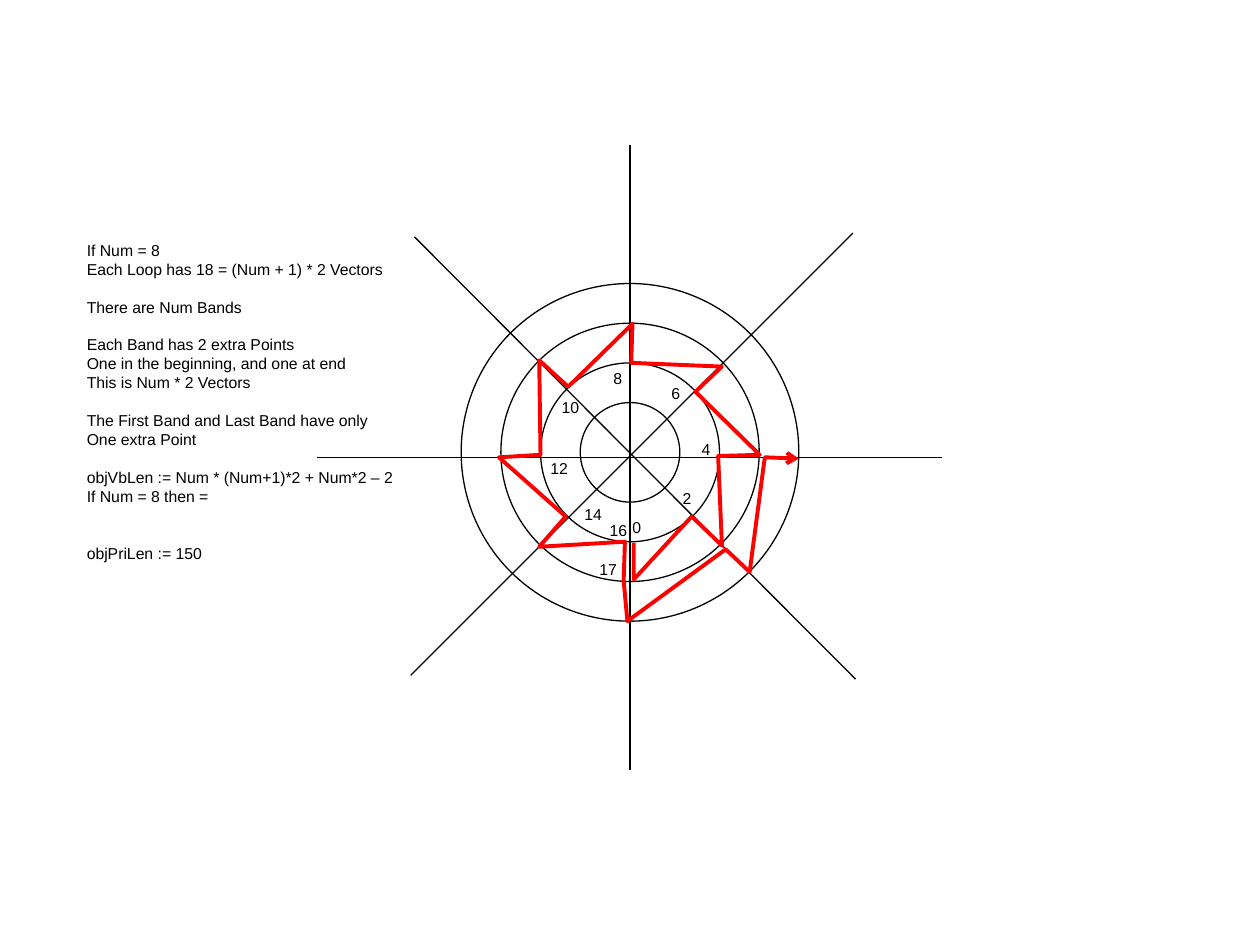
from lxml import etree
from pptx import Presentation
from pptx.dml.color import RGBColor
from pptx.enum.shapes import MSO_CONNECTOR, MSO_SHAPE
from pptx.enum.text import MSO_AUTO_SIZE
from pptx.oxml.ns import qn
from pptx.util import Inches, Pt

STRAIGHT = MSO_CONNECTOR.STRAIGHT
OVAL = MSO_SHAPE.OVAL
GROW = MSO_AUTO_SIZE.SHAPE_TO_FIT_TEXT

COLORS = {"ink": "000000", "path": "FF0000"}
FONT = {"name": "Arial", "size": Pt(9)}
CELL = 0.1
COLS, ROWS = 100, 75
LINE_HEIGHT = 10.8

AXIS_CENTER, AXIS_REACH = (50, 36.3), 24.8
RING_CENTER = (50, 35.9)
FIRST_RADIUS, RING_STEP, RING_COUNT = 3.95, 3.15, 4

AXES = [
    ((AXIS_CENTER[0], AXIS_CENTER[1] - AXIS_REACH),
     (AXIS_CENTER[0], AXIS_CENTER[1] + AXIS_REACH)),
    ((AXIS_CENTER[0] - AXIS_REACH, AXIS_CENTER[1]),
     (AXIS_CENTER[0] + AXIS_REACH, AXIS_CENTER[1])),
]
DIAGONALS = [((67.7, 18.5), (32.6, 53.6)), ((32.9, 18.8), (67.9, 53.9))]

LOOP = [
    (50.3, 43.1), (50.3, 46), (54.9, 41), (57.3, 43.3), (57, 36.2),
    (60.3, 36.1), (55.2, 31.1), (57.3, 29.1), (50.1, 28.8), (50.2, 25.7),
    (45.1, 30.7), (42.8, 28.6), (42.9, 36.1), (39.6, 36.3), (44.9, 41),
    (42.8, 43.4), (49.6, 43), (49.5, 46.1), (49.8, 49.3), (57.6, 43.6),
    (59.5, 45.4), (60.7, 36.3), (63.4, 36.4),
]

LABELS = {
    "0": (49.2, 40.6), "4": (54.7, 34.4), "2": (53.2, 38.3),
    "6": (52.3, 30), "8": (47.7, 28.8), "10": (43.6, 31.1),
    "12": (42.7, 35.9), "14": (45.4, 39.6), "16": (47.4, 40.8),
    "17": (46.6, 43.9),
}
LABEL_WIDTHS = {1: 2.7, 2: 3.4}
LABEL_HEIGHT = 2.5

NOTES = [
    (0, "If Num = 8"),
    (0, "Each Loop has 18 = (Num + 1) * 2 Vectors"),
    (1, "There are Num Bands"),
    (1, "Each Band has 2 extra Points"),
    (0, "One in the beginning, and one at end"),
    (0, "This is Num * 2 Vectors"),
    (1, "The First Band and Last Band have only"),
    (0, "One extra Point"),
    (1, "objVbLen := Num * (Num+1)*2 + Num*2 – 2"),
    (0, "If Num = 8 then ="),
    (2, "objPriLen := 150"),
]


def cells(*counts):
    return [Inches(n * CELL) for n in counts]


def rgb(key):
    return RGBColor.from_string(COLORS[key])


def set_line(sp, color, width):
    sp.line.color.rgb = rgb(color)
    sp.line.width = Pt(width)


def add_line_pair(s, lines):
    group = s.shapes.add_group_shape()
    for start, end in lines:
        sp = group.shapes.add_connector(STRAIGHT, *cells(*start, *end))
        set_line(sp, "ink", 0.75)
        etree.SubElement(sp._element.spPr, qn("a:effectLst"))


def add_ring(s, radius):
    x, y = RING_CENTER
    sp = s.shapes.add_shape(
        OVAL, *cells(x - radius, y - radius, 2 * radius, 2 * radius))
    sp.fill.background()
    sp.shadow.inherit = False
    set_line(sp, "ink", 0.75)


def add_loop(s, points):
    start, *rest = [cells(*point) for point in points]
    builder = s.shapes.build_freeform(*start)
    builder.add_line_segments(rest, close=False)
    sp = builder.convert_to_shape()
    sp.fill.background()
    sp.shadow.inherit = False
    set_line(sp, "path", 2.25)
    etree.SubElement(sp.line._get_or_add_ln(), qn("a:tailEnd"), type="arrow")


def add_text(s, box, lines, wrap):
    tf = s.shapes.add_textbox(*cells(*box)).text_frame
    tf.word_wrap = wrap
    tf.auto_size = GROW
    for i, (gap, text) in enumerate(lines):
        p = tf.add_paragraph() if i else tf.paragraphs[0]
        if gap:
            p.space_before = Pt(gap * LINE_HEIGHT)
        r = p.add_run()
        r.text = text
        for name, value in FONT.items():
            setattr(r.font, name, value)
        r.font.color.rgb = rgb("ink")


def main():
    prs = Presentation()
    prs.slide_width, prs.slide_height = cells(COLS, ROWS)
    s = prs.slides.add_slide(prs.slide_layouts[6])
    for lines in (AXES, DIAGONALS):
        add_line_pair(s, lines)
    for i in range(RING_COUNT):
        add_ring(s, FIRST_RADIUS + i * RING_STEP)
    add_loop(s, LOOP)
    for text, (x, y) in LABELS.items():
        box = (x, y, LABEL_WIDTHS[len(text)], LABEL_HEIGHT)
        add_text(s, box, [(0, text)], False)
    add_text(s, (5.9, 18.6, 26.8, 26.6), NOTES, True)
    prs.save("out.pptx")


if __name__ == "__main__":
    main()
